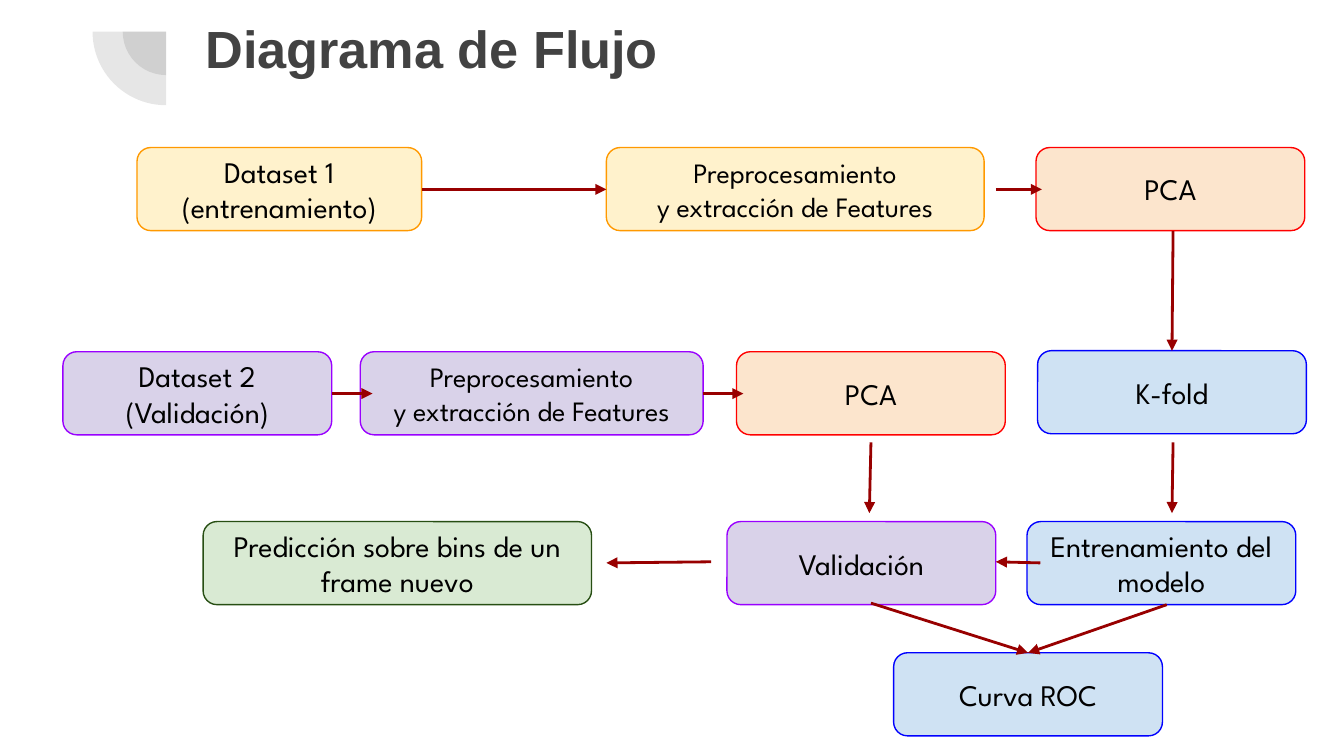
"""Build the flowchart slide of the training and validation pipeline."""
from dataclasses import dataclass

from lxml.etree import SubElement
from pptx import Presentation
from pptx.dml.color import RGBColor
from pptx.enum.shapes import MSO_CONNECTOR as Connector, MSO_SHAPE as Shape
from pptx.enum.text import MSO_ANCHOR as Anchor, PP_ALIGN as Align
from pptx.oxml.ns import qn
from pptx.util import Cm, Pt


@dataclass(frozen=True)
class Theme:
    title_font: str = "Arial"
    box_font: str = "League Spartan"
    title_size: int = 28
    box_size: int = 16
    small_size: int = 15
    outline: float = 0.75
    arrow_width: float = 1.5
    dark: str = "424242"
    text: str = "000000"
    arrow: str = "980000"
    yellow: tuple = ("FFF2CC", "FF9900")
    orange: tuple = ("FCE5CD", "FF0000")
    blue: tuple = ("CFE2F3", "0000FF")
    purple: tuple = ("D9D2E9", "9900FF")
    green: tuple = ("D9EAD3", "274E13")


def color(code):
    return RGBColor.from_string(code)


theme = Theme()
deck = Presentation()
deck.slide_width, deck.slide_height = Cm(25.4), Cm(14.29)
slide = deck.slides.add_slide(deck.slide_layouts[5])
shapes = slide.shapes

corner_x, corner_y = 3.14, 0.6
for radius in (0.82, 1.39):
    quarter = shapes.add_shape(
        Shape.PIE, Cm(corner_x - radius), Cm(corner_y - radius), Cm(2 * radius), Cm(2 * radius))
    quarter.adjustments[0], quarter.adjustments[1] = 54, 108
    quarter.shadow.inherit = False
    quarter.fill.solid()
    quarter.fill.fore_color.rgb = color(theme.dark)
    quarter.line.fill.background()
    tint = next(quarter.fill._xPr.iter(qn("a:srgbClr")))
    SubElement(tint, qn("a:alpha"), val="13000")

title = shapes.title
title.left, title.top, title.width, title.height = Cm(3.63), Cm(0.05), Cm(19.53), Cm(2.77)
title.text_frame.text = "Diagrama de Flujo"
title.text_frame.vertical_anchor = Anchor.TOP
title.text_frame.margin_top = Cm(0.25)
heading = title.text_frame.paragraphs[0]
heading.alignment = Align.LEFT
heading.font.name, heading.font.size = theme.title_font, Pt(theme.title_size)
heading.font.bold, heading.font.color.rgb = True, color(theme.dark)

training_y, validation_y, model_y, result_y = 2.79, 6.65, 9.86, 12.34
step_width, step_height = 5.08, 1.57
features = "Preprocesamiento\ny extracción de Features"
steps = [
    ("Dataset 1 (entrenamiento)", 2.59, training_y, 5.38, theme.yellow, theme.box_size),
    (features, 11.46, training_y, 7.14, theme.yellow, theme.small_size),
    ("PCA", 19.58, training_y, step_width, theme.orange, theme.box_size),
    ("Dataset 2 (Validación)", 1.19, validation_y, step_width, theme.purple, theme.box_size),
    (features, 6.81, validation_y, 6.48, theme.purple, theme.small_size),
    ("PCA", 13.92, validation_y, step_width, theme.orange, theme.box_size),
    ("K-fold", 19.61, 6.63, step_width, theme.blue, theme.box_size),
    ("Predicción sobre bins de un frame nuevo", 3.84, model_y, 7.34, theme.green, theme.box_size),
    ("Validación", 13.74, model_y, step_width, theme.purple, theme.box_size),
    ("Entrenamiento del modelo", 19.41, model_y, step_width, theme.blue, theme.box_size),
    ("Curva ROC", 16.89, result_y, step_width, theme.blue, theme.box_size),
]
for label, left, top, width, (fill, outline), size in steps:
    step = shapes.add_shape(Shape.ROUNDED_RECTANGLE, Cm(left), Cm(top), Cm(width), Cm(step_height))
    step.shadow.inherit = False
    step.fill.solid()
    step.fill.fore_color.rgb = color(fill)
    step.line.color.rgb = color(outline)
    step.line.width = Pt(theme.outline)
    frame = step.text_frame
    frame.text = label
    frame.word_wrap = True
    frame.vertical_anchor = Anchor.MIDDLE
    frame.margin_left = frame.margin_right = frame.margin_top = frame.margin_bottom = Cm(0.25)
    for line in frame.paragraphs:
        line.alignment = Align.CENTER
        line.font.name, line.font.size = theme.box_font, Pt(size)
        line.font.color.rgb = color(theme.text)

training_mid, validation_mid = 3.58, 7.44
flows = [
    (7.98, training_mid, 11.46, training_mid),
    (18.82, training_mid, 19.69, training_mid),
    (22.17, 4.37, 22.15, 6.63),
    (6.27, validation_mid, 7.04, validation_mid),
    (13.28, validation_mid, 14.05, validation_mid),
    (16.46, 8.36, 16.43, 9.7),
    (22.17, 8.36, 22.15, 9.7),
    (19.66, 10.64, 18.82, 10.62),
    (13.44, 10.62, 11.46, 10.64),
    (22.05, 11.43, 19.43, result_y),
    (16.46, 11.4, 19.43, result_y),
]
for flow in flows:
    arrow = shapes.add_connector(Connector.STRAIGHT, *map(Cm, flow))
    arrow.line.color.rgb = color(theme.arrow)
    arrow.line.width = Pt(theme.arrow_width)
    SubElement(arrow.line._get_or_add_ln(), qn("a:tailEnd"), type="triangle")
    SubElement(arrow._element.spPr, qn("a:effectLst"))

deck.save("out.pptx")
